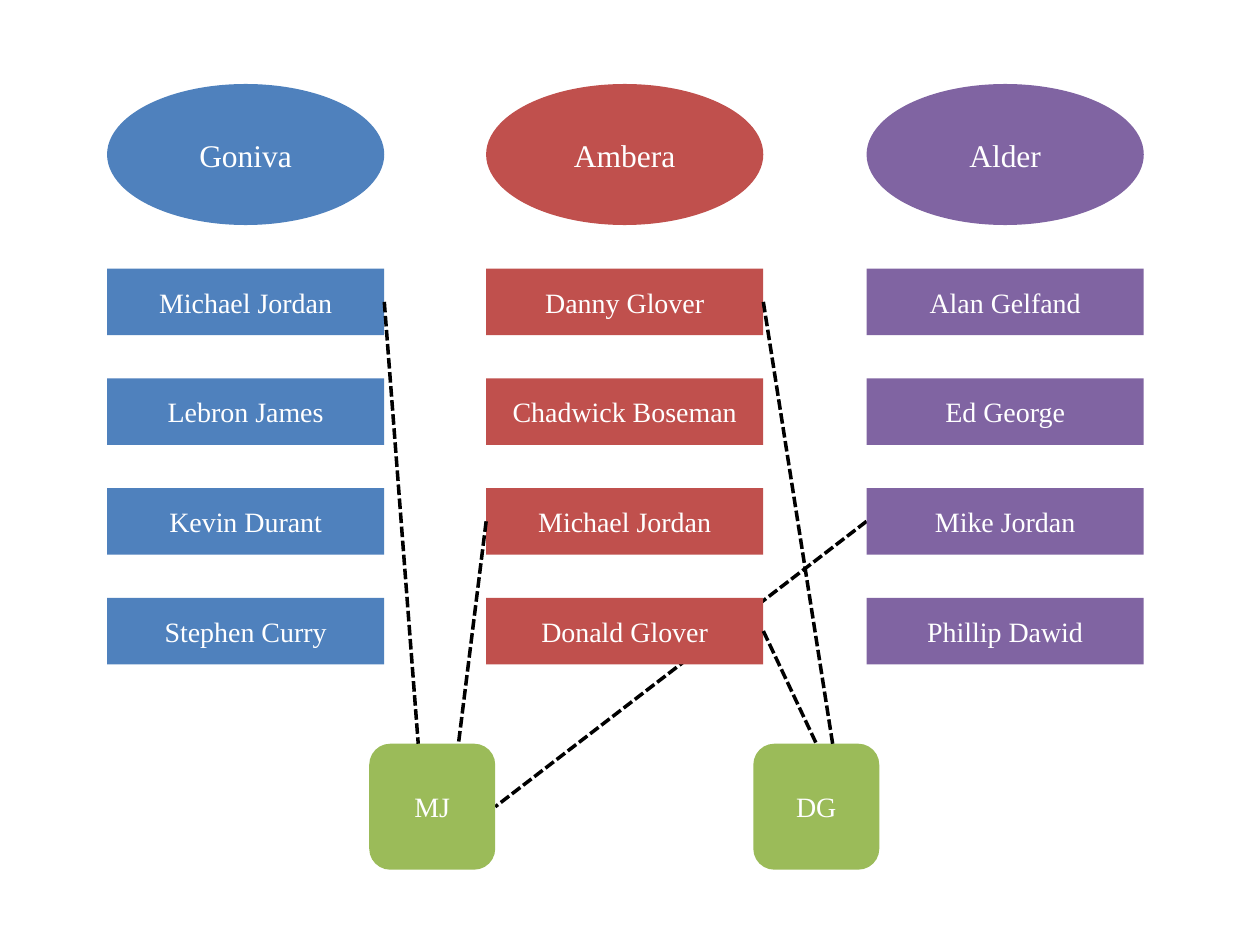
"""Build a slide linking the same people across three company lists."""
from dataclasses import dataclass

from lxml.etree import SubElement
from pptx import Presentation
from pptx.dml.color import RGBColor
from pptx.enum.dml import MSO_LINE
from pptx.enum.shapes import MSO_CONNECTOR, MSO_SHAPE
from pptx.enum.text import MSO_ANCHOR, PP_ALIGN
from pptx.oxml.ns import qn
from pptx.util import Pt


@dataclass(frozen=True)
class Theme:
    font: str = "Times New Roman"
    heading_size: int = 18
    name_size: int = 16
    text: str = "FFFFFF"
    link: str = "000000"
    match: str = "9BBB59"
    companies: tuple = ("4F81BD", "C0504D", "8064A2")


theme = Theme()
LEFT, RIGHT, TOP = 1, 3, 0


def add_box(page, kind, frame, color, text, size):
    box = page.shapes.add_shape(kind, *map(Pt, frame))
    box.shadow.inherit = False
    box.fill.solid()
    box.fill.fore_color.rgb = RGBColor.from_string(color)
    box.line.fill.background()
    box.text_frame.text = text
    box.text_frame.vertical_anchor = MSO_ANCHOR.MIDDLE
    para = box.text_frame.paragraphs[0]
    para.alignment = PP_ALIGN.CENTER
    span = para.runs[0]
    span.font.name = theme.font
    span.font.size = Pt(size)
    span.font.color.rgb = RGBColor.from_string(theme.text)
    return box


def add_link(page, person, person_side, end_x, end_y):
    start_x = person.left + (person.width if person_side == RIGHT else 0)
    start_y = person.top + person.height // 2
    link = page.shapes.add_connector(
        MSO_CONNECTOR.STRAIGHT, start_x, start_y, Pt(end_x), Pt(end_y))
    link.begin_connect(person, person_side)
    link.line.color.rgb = RGBColor.from_string(theme.link)
    link.line.width = Pt(2)
    link.line.dash_style = MSO_LINE.SQUARE_DOT
    SubElement(link.element.spPr, qn("a:effectLst"))
    return link


deck = Presentation()
deck.slide_width, deck.slide_height = Pt(720), Pt(540)
page = deck.slides.add_slide(deck.slide_layouts[6])

companies = [
    ("Goniva", 61.2, ["Michael Jordan", "Lebron James", "Kevin Durant", "Stephen Curry"]),
    ("Ambera", 277.8, ["Danny Glover", "Chadwick Boseman", "Michael Jordan", "Donald Glover"]),
    ("Alder", 495.2, ["Alan Gelfand", "Ed George", "Mike Jordan", "Phillip Dawid"]),
]
column_width = 158.4
first_row, row_step, row_height = 153.5, 62.7, 38
people = []
for (company, left, names), color in zip(companies, theme.companies):
    add_box(page, MSO_SHAPE.OVAL, (left, 48, column_width, 80.6),
            color, company, theme.heading_size)
    people.append([
        add_box(page, MSO_SHAPE.RECTANGLE,
                (left, first_row + row * row_step, column_width, row_height),
                color, name, theme.name_size)
        for row, name in enumerate(names)])

match_top, match_size = 425, 72
jordan, glover = [
    add_box(page, MSO_SHAPE.ROUNDED_RECTANGLE,
            (left, match_top, match_size, match_size),
            theme.match, initials, theme.name_size)
    for initials, left in (("MJ", 211), ("DG", 430.5))]

for column, row, side, end_x in (
        (1, 2, LEFT, 262), (0, 0, RIGHT, 239), (1, 0, RIGHT, 475.8)):
    add_link(page, people[column][row], side, end_x, match_top)

donald_link = add_link(page, people[1][3], RIGHT, 466.5, match_top)
donald_link.end_connect(glover, TOP)

mike_link = add_link(page, people[2][2], LEFT, 283, 461)
mike_link.end_connect(jordan, RIGHT)
mike_link.element.getparent().insert(2, mike_link.element)

deck.save("out.pptx")
